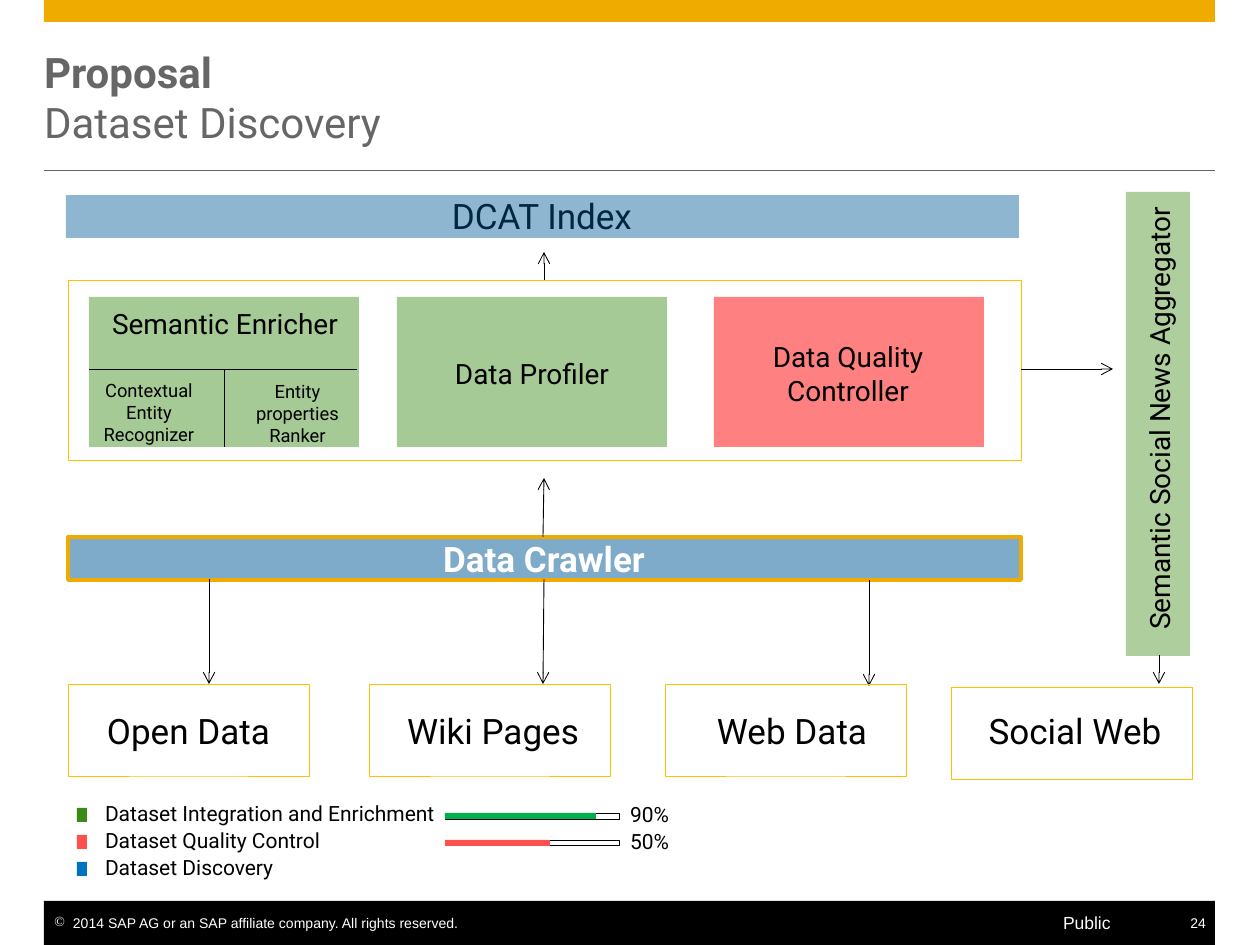
from lxml.etree import SubElement
from pptx import Presentation
from pptx.dml.color import RGBColor
from pptx.enum.shapes import MSO_CONNECTOR, MSO_SHAPE
from pptx.enum.text import MSO_ANCHOR, MSO_AUTO_SIZE, PP_ALIGN
from pptx.oxml.ns import qn
from pptx.util import Emu, Pt

PX = 914400 / 126
BLACK, WHITE, GREY = "000000", "FFFFFF", "666666"
GOLD, AMBER = "F0AB00", "FFC000"
GREEN, RED, BLUE = "3B8A15", "FF5050", "005998"

# left, top, width, height, fill, opacity in percent, line colour, line width
BOXES = [
    (44, 0, 1171, 22, GOLD, 100, None, 0),
    (44, 901, 1171, 44, BLACK, 100, None, 0),
    (68, 537, 953, 43, BLUE, 50, GOLD, 2.25),
    (68, 280, 953, 180, None, 100, AMBER, 0.5),
    (89, 297, 270, 150, GREEN, 45, None, 0),
    (397, 297, 270, 150, GREEN, 45, None, 0),
    (714, 297, 270, 150, RED, 72, None, 0),
    (1126, 192, 64, 464, GREEN, 41, None, 0),
]
INDEX_BAND = (66, 195, 953, 43, BLUE, 44, None, 0)

# text, left, top, width, height, size
LABELS = [
    ("Semantic Enricher", 96, 307, 258, 34, 16),
    ("Data Profiler", 422, 356, 220, 34, 16),
    ("Data Quality Controller", 738, 340, 220, 68, 16),
    ("Contextual Entity Recognizer", 89, 379, 120, 67, 10.5),
    ("Entity properties Ranker", 240, 380, 115, 67, 10.5),
    ("DCAT Index", 418, 194, 248, 43, 20),
]

# name, box left, box top, label left, label width
SOURCES = [
    ("Open Data", 68, 684, 96, 185),
    ("Wiki Pages", 369, 684, 369, 248),
    ("Web Data", 665, 684, 668, 248),
    ("Social Web", 951, 687, 951, 248),
]

ARROWS = [
    (544, 579, 543, 684), (869, 580, 869, 686), (209, 579, 209, 684),
    (543, 537, 544, 478), (544, 280, 544, 252), (1159, 655, 1159, 684),
    (1021, 369, 1113, 369),
]
DIVIDERS = [(224, 369, 224, 447), (89, 369, 357, 369)]
TITLE_RULE = (44, 170, 1215, 170)

# name, marker colour, progress text, progress colour, progress width
LEGEND = [
    ("Dataset Integration and Enrichment", GREEN, "90%", "00B050", 151),
    ("Dataset Quality Control", RED, "50%", RED, 105),
    ("Dataset Discovery", "0070C0", None, None, 0),
]
LEGEND_TOP, LEGEND_PITCH = 801, 27


def emu(*lengths):
    return [Emu(round(length * PX)) for length in lengths]


def rgb(colour):
    return RGBColor.from_string(colour)


def assign(target, **values):
    for attribute, value in values.items():
        setattr(target, attribute, value)


def set_font(font, size, colour, name="Roboto", bold=False):
    assign(font, size=Pt(size), name=name, bold=bold)
    font.color.rgb = rgb(colour)


def set_frame(frame, **values):
    assign(frame, margin_left=0, margin_right=0, margin_top=0,
           margin_bottom=0, word_wrap=True)
    assign(frame, **values)


def add_box(slide, left, top, width, height, fill, opacity=100, line=None, weight=0):
    box = slide.shapes.add_shape(MSO_SHAPE.RECTANGLE, *emu(left, top, width, height))
    box.shadow.inherit = False
    if fill:
        box.fill.solid()
        box.fill.fore_color.rgb = rgb(fill)
        if opacity < 100:
            colour = box.fill._xPr.find(qn("a:solidFill"))[0]
            SubElement(colour, qn("a:alpha"), val=str(opacity * 1000))
    else:
        box.fill.background()
    if line:
        box.line.color.rgb = rgb(line)
        box.line.width = Pt(weight)
    else:
        box.line.fill.background()


def add_label(slide, text, left, top, width, height, size, colour=BLACK,
              align=PP_ALIGN.CENTER, font="Roboto", bold=False, bullet=None, **frame_values):
    frame = slide.shapes.add_textbox(*emu(left, top, width, height)).text_frame
    set_frame(frame, auto_size=MSO_AUTO_SIZE.SHAPE_TO_FIT_TEXT, **frame_values)
    paragraph = frame.paragraphs[0]
    paragraph.alignment = align
    if bullet:
        properties = paragraph._p.get_or_add_pPr()
        properties.set("marL", str(Pt(10.8)))
        properties.set("indent", str(-Pt(10.8)))
        bullet_colour = SubElement(properties, qn("a:buClr"))
        SubElement(bullet_colour, qn("a:srgbClr"), val=colour)
        SubElement(properties, qn("a:buChar"), char=bullet)
    run = paragraph.add_run()
    run.text = text
    set_font(run.font, size, colour, font, bold)
    return frame


def add_line(slide, ends, colour=BLACK, arrow=False):
    line = slide.shapes.add_connector(MSO_CONNECTOR.STRAIGHT, *emu(*ends))
    line.line.color.rgb = rgb(colour)
    line.line.width = Pt(0.5)
    if arrow:
        SubElement(line.line._get_or_add_ln(), qn("a:tailEnd"), type="arrow")
    SubElement(line._element.spPr, qn("a:effectLst"))


def add_title(slide):
    title = slide.shapes.title
    left, top, width, height = emu(44, 44, 1171, 105)
    assign(title, left=left, top=top, width=width, height=height)
    set_frame(title.text_frame, vertical_anchor=MSO_ANCHOR.MIDDLE,
              auto_size=MSO_AUTO_SIZE.NONE)
    paragraph = title.text_frame.paragraphs[0]
    paragraph.alignment = PP_ALIGN.LEFT
    for text, bold in (("Proposal", True), ("Dataset Discovery", False)):
        if paragraph.runs:
            paragraph.add_line_break()
        run = paragraph.add_run()
        run.text = text
        set_font(run.font, 24, GREY, bold=bold)


def add_footer(slide):
    add_label(slide, "2014 SAP AG or an SAP affiliate company. All rights reserved.",
              44, 915, 422, 16, 8, WHITE, PP_ALIGN.LEFT, "Arial", bullet="©",
              margin_left=emu(10)[0], word_wrap=False)
    add_label(slide, "Public", 1063, 912, 110, 21, 10, WHITE, PP_ALIGN.LEFT, "Arial")
    add_label(slide, "24", 1188, 915, 28, 16, 8, WHITE, PP_ALIGN.RIGHT, "Arial",
              margin_right=emu(10)[0], word_wrap=False)


def add_legend(slide):
    for row, (name, marker, percent, colour, progress) in enumerate(LEGEND):
        top = LEGEND_TOP + row * LEGEND_PITCH
        add_box(slide, 77, top + 7, 10, 14, marker)
        add_label(slide, name, 105, top, 335, 26, 12, align=PP_ALIGN.LEFT)
        if percent:
            add_box(slide, 445, top + 12, 175, 6, WHITE, 100, BLACK, 0.5)
            add_box(slide, 445, top + 12, progress, 6, colour)
            add_label(slide, percent, 630, top + 1, 131, 26, 12, align=PP_ALIGN.LEFT)


def main():
    deck = Presentation()
    deck.slide_width, deck.slide_height = emu(1260, 945)
    slide = deck.slides.add_slide(deck.slide_layouts[5])
    add_title(slide)
    for box in BOXES:
        add_box(slide, *box)
    add_line(slide, TITLE_RULE, GREY)
    for ends in DIVIDERS:
        add_line(slide, ends)
    for ends in ARROWS:
        add_line(slide, ends, arrow=True)
    for label in LABELS:
        add_label(slide, *label)
    for name, left, top, label_left, label_width in SOURCES:
        add_box(slide, left, top, 242, 92, None, 100, AMBER, 0.5)
        add_label(slide, name, label_left, 709, label_width, 43, 20)
    add_box(slide, *INDEX_BAND)
    add_label(slide, "Data Crawler", 420, 537, 248, 43, 20, WHITE, bold=True)
    aggregator = add_label(slide, "Semantic Social News Aggregator", 1142, 203, 34, 431, 16,
                           vertical_anchor=MSO_ANCHOR.MIDDLE)
    aggregator._txBody.bodyPr.set("vert", "vert270")
    add_legend(slide)
    add_footer(slide)
    deck.save("out.pptx")


if __name__ == "__main__":
    main()
